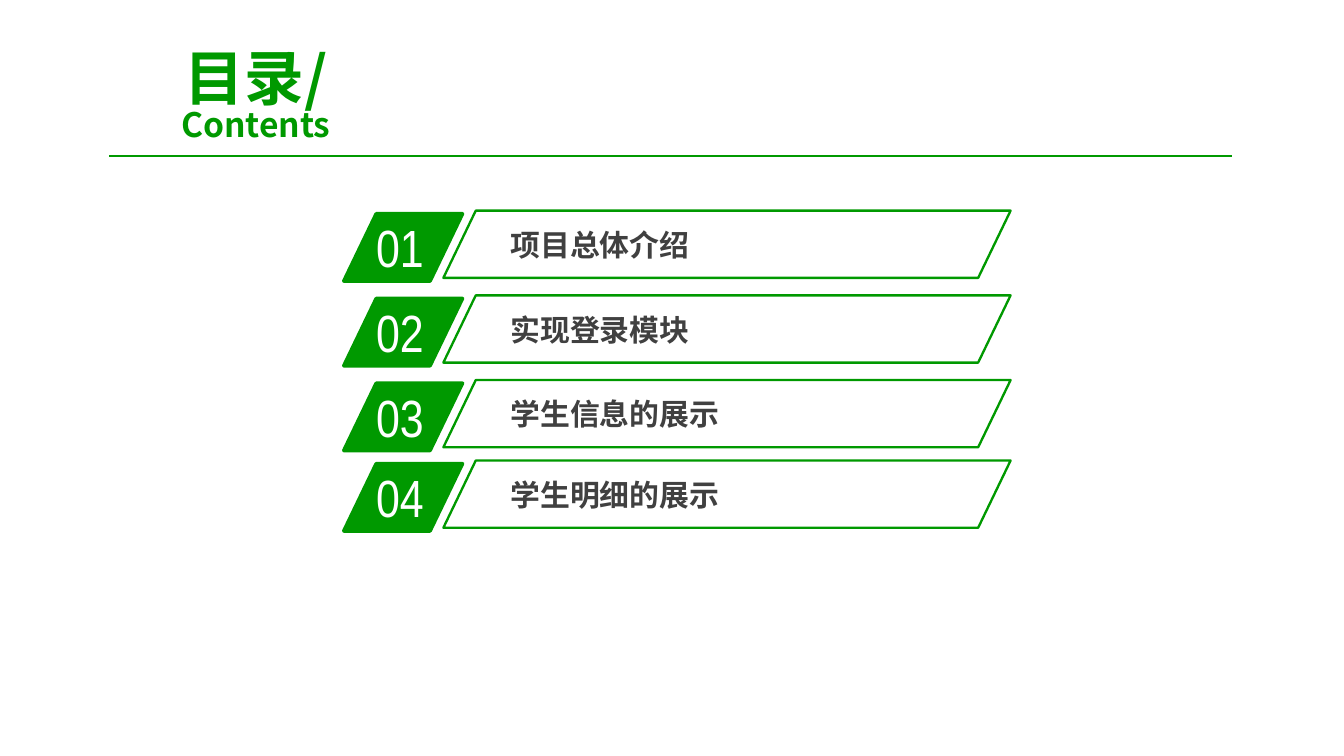
from pptx import Presentation
from pptx.dml.color import RGBColor
from pptx.enum.shapes import MSO_CONNECTOR, MSO_SHAPE
from pptx.enum.text import MSO_ANCHOR, MSO_AUTO_SIZE, PP_ALIGN
from pptx.oxml.ns import qn
from pptx.util import Cm, Pt

# Content: number, heading, top of the row in cm
TITLE = [("目录/", 32), ("Contents", 18)]
ITEMS = [
    ("01", "项目总体介绍", 4.04),
    ("02", "实现登录模块", 5.64),
    ("03", "学生信息的展示", 7.24),
    ("04", "学生明细的展示", 8.76),
]
COLORS = {"green": "009900", "text": "404040", "white": "FFFFFF"}
CJK, NARROW = "Noto Sans CJK SC", "Arial Narrow"
SLANT = 0.482


def rgb(name):
    return RGBColor.from_string(COLORS[name])


def style(r, size, color, font, bold=False):
    r.font.size, r.font.bold, r.font.name = Pt(size), bold, font
    r.font.color.rgb = rgb(color)
    ea = r.font._element.makeelement(qn("a:ea"), {"typeface": font})
    r.font._element.find(qn("a:latin")).addnext(ea)


def add_slanted(s, x, y, w, h, line_width, filled):
    sp = s.shapes.add_shape(MSO_SHAPE.PARALLELOGRAM, Cm(x), Cm(y), Cm(w), Cm(h))
    sp.adjustments[0] = SLANT
    sp.shadow.inherit = False
    if filled:
        sp.fill.solid()
        sp.fill.fore_color.rgb = rgb("green")
    else:
        sp.fill.background()
    sp.line.color.rgb = rgb("green")
    sp.line.width = Pt(line_width)


def add_text(s, text, x, y, w, h, margins, *font):
    tf = s.shapes.add_textbox(Cm(x), Cm(y), Cm(w), Cm(h)).text_frame
    tf.word_wrap = True
    tf.margin_left = tf.margin_right = Cm(margins[0])
    tf.margin_top = tf.margin_bottom = Cm(margins[1])
    tf.text = text
    style(tf.paragraphs[0].runs[0], *font)


prs = Presentation()
prs.slide_width, prs.slide_height = Cm(25.4), Cm(14.28)
s = prs.slides.add_slide(prs.slide_layouts[5])

# Title on two lines
title = s.shapes.title
title.left, title.top, title.width, title.height = Cm(1.7), Cm(1.19), Cm(6.27), Cm(1.37)
tf = title.text_frame
tf.text = "\v".join(text for text, _ in TITLE)
tf.vertical_anchor = MSO_ANCHOR.MIDDLE
tf.auto_size = MSO_AUTO_SIZE.NONE
p = tf.paragraphs[0]
p.alignment = PP_ALIGN.CENTER
p.space_before, p.line_spacing = Pt(6.4), 0.8
for r, (_, size) in zip(p.runs, TITLE):
    style(r, size, "green", CJK, True)

# Rule under the title
rule = s.shapes.add_connector(MSO_CONNECTOR.STRAIGHT, Cm(2.06), Cm(2.95), Cm(23.29), Cm(2.95))
rule.line.color.rgb = rgb("green")
rule.line.width = Pt(0.75)
sp_pr = rule._element.spPr
sp_pr.append(sp_pr.makeelement(qn("a:effectLst"), {}))

# Contents rows: numbered tab, heading and outlined bar
for number, heading, top in ITEMS:
    add_slanted(s, 6.5, top, 2.24, 1.27, 2, True)
    add_text(s, number, 6.86, top - 0.1, 2.13, 1.45, (0.25, 0.13), 28, "white", NARROW)
    add_text(s, heading, 9.47, top + 0.14, 8.56, 0.89, (0.18, 0.1), 16, "text", CJK, True)
    add_slanted(s, 8.38, top - 0.06, 10.72, 1.27, 1.25, False)

prs.save("out.pptx")
